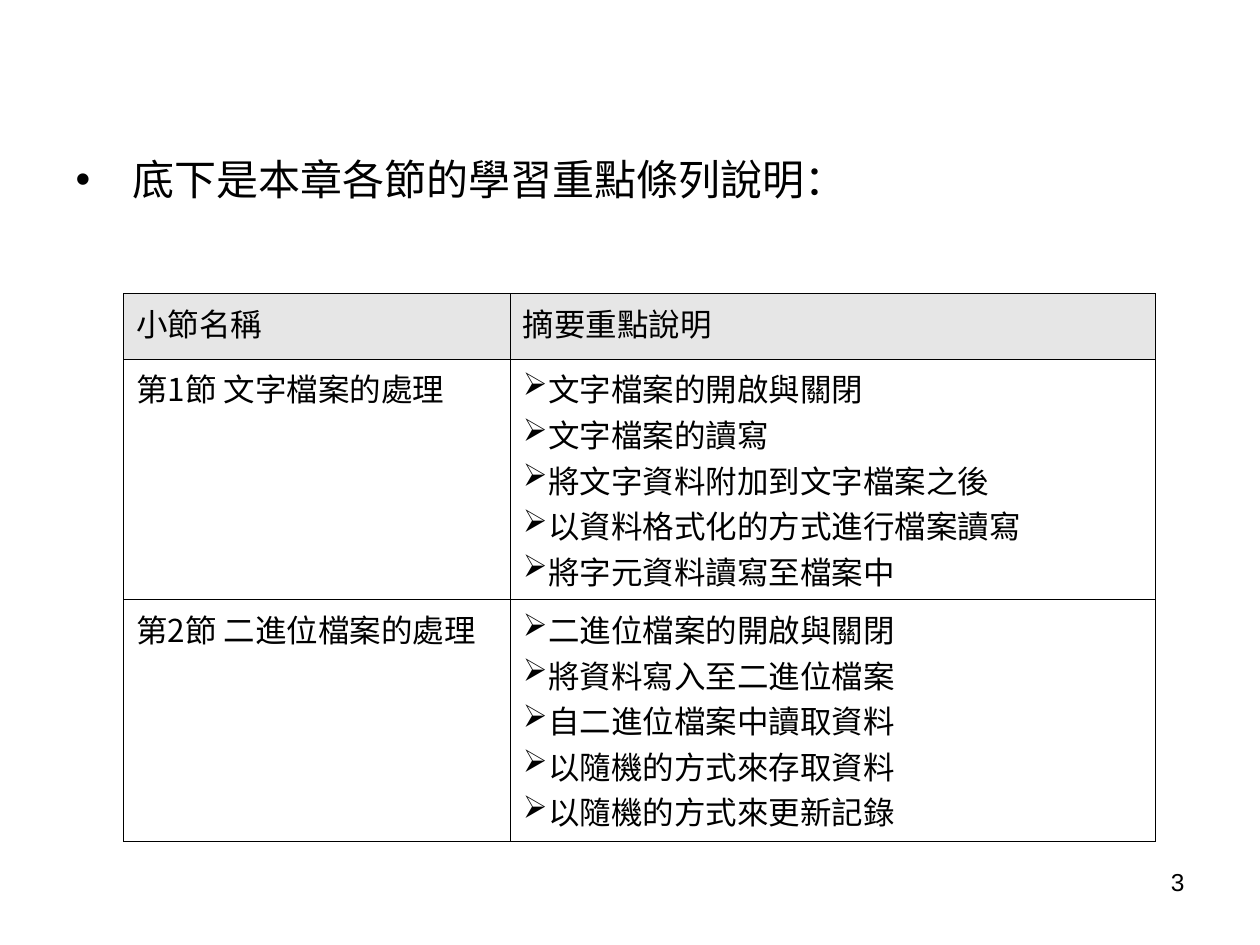
from lxml.etree import SubElement
from pptx import Presentation
from pptx.dml.color import RGBColor
from pptx.enum.text import PP_ALIGN
from pptx.oxml.ns import qn
from pptx.util import Inches, Pt

THEME = {
    "ink": RGBColor.from_string("000000"),
    "head": RGBColor.from_string("E6E6E6"),
    "sans": "Arial",
    "cjk": "Noto Sans CJK SC",
    "lead": Pt(24),
    "cell": Pt(18),
    "page": Pt(14),
    "rule": Pt(0.45),
}
ROWS = [
    ("小節名稱", ["摘要重點說明"]),
    ("第1節 文字檔案的處理", [
        "文字檔案的開啟與關閉",
        "文字檔案的讀寫",
        "將文字資料附加到文字檔案之後",
        "以資料格式化的方式進行檔案讀寫",
        "將字元資料讀寫至檔案中",
    ]),
    ("第2節 二進位檔案的處理", [
        "二進位檔案的開啟與關閉",
        "將資料寫入至二進位檔案",
        "自二進位檔案中讀取資料",
        "以隨機的方式來存取資料",
        "以隨機的方式來更新記錄",
    ]),
]


def write(frame, lines, size, font, mark=None, hang=0):
    """Fill a text frame, one paragraph a line, with an optional bullet mark."""
    for i, line in enumerate(lines):
        para = frame.paragraphs[0] if i == 0 else frame.add_paragraph()
        if mark:
            props = para._p.get_or_add_pPr()
            props.set("marL", str(hang))
            props.set("indent", str(-hang))
            SubElement(props, qn("a:buChar"), char=mark)
        para.space_before = Pt(0)
        run = para.add_run()
        run.text = line
        run.font.size, run.font.name = size, font
        run.font.color.rgb = THEME["ink"]
        SubElement(run._r.get_or_add_rPr(), qn("a:ea"), typeface=THEME["cjk"])


def edge(cell):
    """Draw a thin line on all four sides of a table cell."""
    props = cell._tc.get_or_add_tcPr()
    for side in ("a:lnL", "a:lnR", "a:lnT", "a:lnB"):
        line = SubElement(props, qn(side), w=str(THEME["rule"]))
        fill = SubElement(line, qn("a:solidFill"))
        SubElement(fill, qn("a:srgbClr"), val=str(THEME["ink"]))


deck = Presentation()
deck.slide_width, deck.slide_height = Inches(10), Inches(7.5)
unit = deck.slide_width / 100  # grid of 100 columns by 75 rows
slide = deck.slides.add_slide(deck.slide_layouts[1])
title = slide.shapes.title
title._element.getparent().remove(title._element)

# Lead line
body = slide.placeholders[1]
body.left, body.top = int(5 * unit), int(11.7 * unit)
body.width, body.height = int(87.5 * unit), int(55 * unit)
write(body.text_frame, [" 底下是本章各節的學習重點條列說明："],
      THEME["lead"], THEME["sans"], "•", int(3.8 * unit))

# Table of sections, columns split 3 to 5
wide = 81.9 * unit
highs = [5.2, 16.6, 19.2]
table = slide.shapes.add_table(
    len(ROWS), 2, int(9.8 * unit), int(23.3 * unit),
    int(wide), int(sum(highs) * unit)).table
table.first_row = table.horz_banding = False
for col, share in zip(table.columns, (3, 5)):
    col.width = int(wide * share / 8)
for r, (name, points) in enumerate(ROWS):
    table.rows[r].height = int(highs[r] * unit)
    for c, lines in enumerate(([name], points)):
        cell = table.cell(r, c)
        edge(cell)
        if r == 0:
            cell.fill.solid()
            cell.fill.fore_color.rgb = THEME["head"]
        else:
            cell.fill.background()
        mark = "➢" if r and c else None
        write(cell.text_frame, lines, THEME["cell"], THEME["cjk"], mark)

# Page number
page = slide.shapes.add_textbox(
    int(71.7 * unit), int(68.3 * unit), int(23.3 * unit), int(5.2 * unit))
page.text_frame.word_wrap = True
write(page.text_frame, ["3"], THEME["page"], THEME["sans"])
page.text_frame.paragraphs[0].alignment = PP_ALIGN.RIGHT

deck.save("out.pptx")
